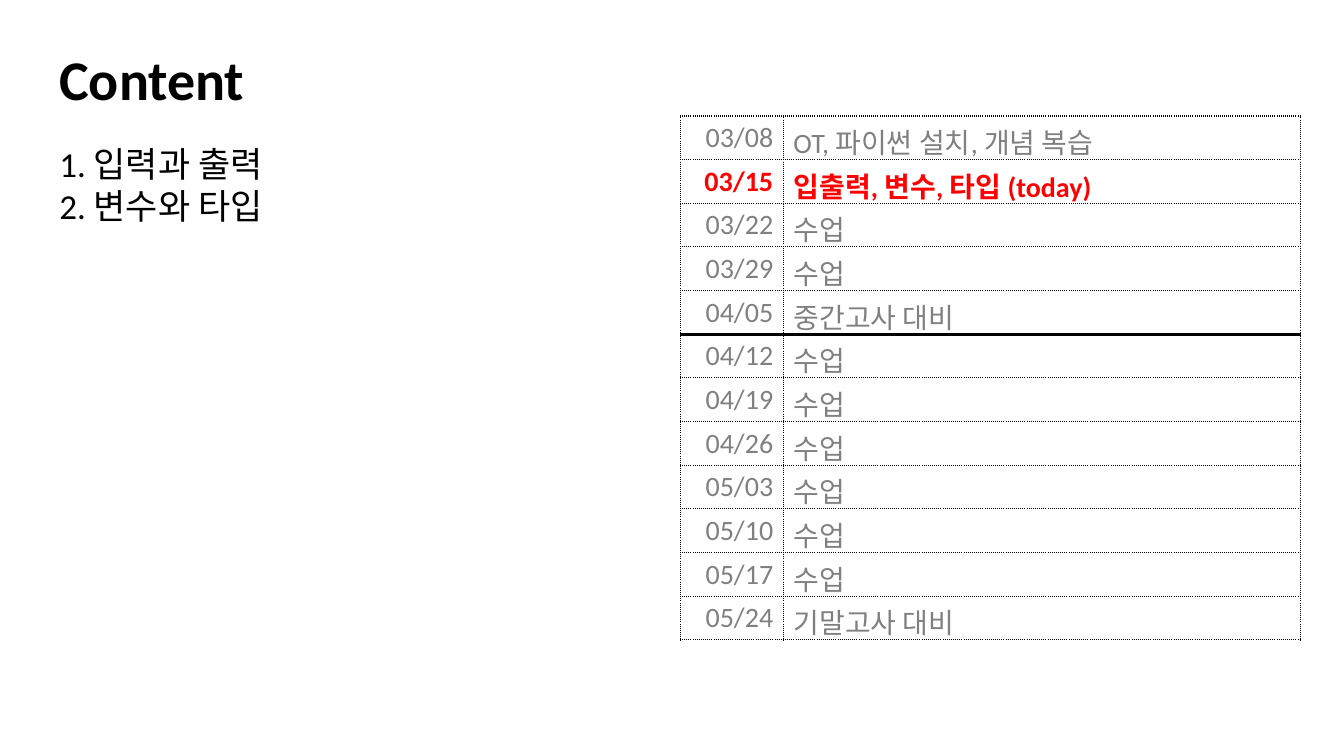
from lxml.etree import SubElement
from pptx import Presentation
from pptx.dml.color import RGBColor
from pptx.enum.text import MSO_ANCHOR, PP_ALIGN
from pptx.oxml.ns import qn
from pptx.util import Inches, Pt

BLACK = RGBColor(0, 0, 0)
GRAY = RGBColor(0x80, 0x80, 0x80)
RED = RGBColor(0xFF, 0, 0)

ROW_HEIGHT = Inches(5.2 / 12)
COLUMN_WIDTHS = [Inches(1.02), Inches(5.13)]
TODAY = "03/15"
MIDTERM_ROW = 4  # the last row before the heavy rule

SCHEDULE = [
    ("03/08", "OT, 파이썬 설치, 개념 복습"),
    (TODAY, "입출력, 변수, 타입 (today)"),
    ("03/22", "수업"),
    ("03/29", "수업"),
    ("04/05", "중간고사 대비"),
    ("04/12", "수업"),
    ("04/19", "수업"),
    ("04/26", "수업"),
    ("05/03", "수업"),
    ("05/10", "수업"),
    ("05/17", "수업"),
    ("05/24", "기말고사 대비"),
]


def write(para, text, **font_format):
    span = para.add_run()
    span.text = text
    span.font.name = "Calibri"
    span.font.color.rgb = font_format.pop("color")
    for name, value in font_format.items():
        setattr(span.font, name, value)


def add_border(cell, side, width, dash):
    line = SubElement(cell._tc.get_or_add_tcPr(), qn(f"a:ln{side}"), w=str(Pt(width)))
    fill = SubElement(line, qn("a:solidFill"))
    SubElement(fill, qn("a:srgbClr"), val=str(BLACK))
    SubElement(line, qn("a:prstDash"), val=dash)


deck = Presentation()
deck.slide_width, deck.slide_height = Inches(13.33), Inches(7.5)
page = deck.slides.add_slide(deck.slide_layouts[6])

# Title and numbered topics
text_blocks = [
    ((0.49, 0.39, 4.05, 0.76), ["Content"], {"size": Pt(40), "bold": True}),
    ((0.49, 1.36, 4.25, 0.92), ["1. 입력과 출력", "2. 변수와 타입"], {"size": Pt(25)}),
]
for place, lines, font_format in text_blocks:
    frame = page.shapes.add_textbox(*map(Inches, place)).text_frame
    frame.word_wrap = True
    for index, text in enumerate(lines):
        para = frame.add_paragraph() if index else frame.paragraphs[0]
        write(para, text, color=BLACK, **font_format)

# Class schedule
table = page.shapes.add_table(
    len(SCHEDULE), len(COLUMN_WIDTHS), Inches(6.75), Inches(1.15),
    sum(COLUMN_WIDTHS), ROW_HEIGHT * len(SCHEDULE),
).table
table.first_row = table.horz_banding = False
for column, width in zip(table.columns, COLUMN_WIDTHS):
    column.width = width

for row_index, entry in enumerate(SCHEDULE):
    table.rows[row_index].height = ROW_HEIGHT
    is_today = entry[0] == TODAY
    heavy_side = {MIDTERM_ROW: "B", MIDTERM_ROW + 1: "T"}.get(row_index)
    for column_index, text in enumerate(entry):
        cell = table.cell(row_index, column_index)
        cell.vertical_anchor = MSO_ANCHOR.TOP
        cell.margin_bottom = 0
        para = cell.text_frame.paragraphs[0]
        para.alignment = PP_ALIGN.LEFT if column_index else PP_ALIGN.RIGHT
        write(para, text, size=Pt(20), bold=is_today, color=RED if is_today else GRAY)
        for side in "LRTB":
            width, dash = (2.25, "solid") if side == heavy_side else (1, "sysDot")
            add_border(cell, side, width, dash)
        cell.fill.background()

deck.save("out.pptx")
